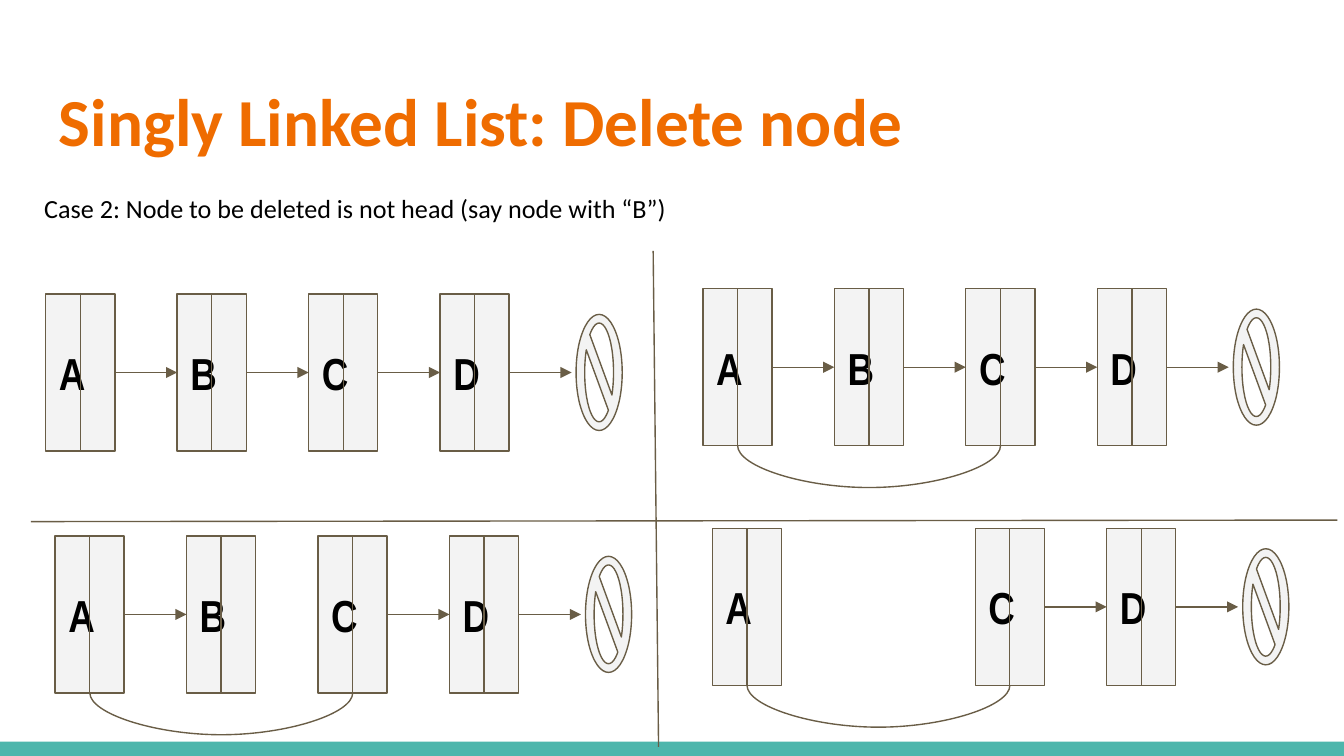
from dataclasses import dataclass

from lxml.etree import SubElement
from pptx import Presentation
from pptx.dml.color import RGBColor
from pptx.enum.shapes import MSO_CONNECTOR, MSO_SHAPE
from pptx.enum.text import MSO_ANCHOR, PP_ALIGN
from pptx.oxml.ns import qn
from pptx.util import Inches, Pt

SLIDE_WIDTH = Inches(10)
SLIDE_HEIGHT = SLIDE_WIDTH * 9 // 16
COLUMN = SLIDE_WIDTH / 100
ROW = SLIDE_HEIGHT / 100

ORANGE = "EF6C00"
TEAL = "4DB6AC"
BROWN = "695D46"
PALE_GRAY = "F3F3F3"
BLACK = "000000"

LETTERS = "ABCD"
NODE_PITCH = 0.228
NODE_WIDTH = 0.12
BYPASS_THICKNESS = 600
BYPASS_BEND = 39691700


@dataclass
class Box:
    left: float
    top: float
    width: float
    height: float

    def inner_box(self, left, top, width, height):
        return Box(self.left + left * self.width, self.top + top * self.height,
                   width * self.width, height * self.height)

    def bounds(self):
        return [round(value) for value in (self.left, self.top, self.width, self.height)]


def grid_box(left, top, width, height):
    return Box(left * COLUMN, top * ROW, width * COLUMN, height * ROW)


def color(hex_value):
    return RGBColor.from_string(hex_value)


def write_text(shape, text, font_name, size, hex_value, bold=False):
    frame = shape.text_frame
    frame.word_wrap = True
    frame.margin_left = frame.margin_right = Inches(0.1)
    frame.margin_top = frame.margin_bottom = Inches(0.1)
    paragraph = frame.paragraphs[0]
    paragraph.text = text
    paragraph.alignment = PP_ALIGN.LEFT
    paragraph.font.name = font_name
    paragraph.font.size = Pt(size)
    paragraph.font.bold = bold
    paragraph.font.color.rgb = color(hex_value)


def add_label(slide, box, *style):
    write_text(slide.shapes.add_textbox(*box.bounds()), *style)


def add_filled_shape(slide, kind, box, fill, outline=None):
    shape = slide.shapes.add_shape(kind, *box.bounds())
    shape.shadow.inherit = False
    shape.fill.solid()
    shape.fill.fore_color.rgb = color(fill)
    if outline:
        shape.line.color.rgb = color(outline)
        shape.line.width = Pt(0.75)
    else:
        shape.line.fill.background()
    return shape


def add_line(slide, start, end, kind=MSO_CONNECTOR.STRAIGHT, arrow=False):
    points = [round(value) for value in (*start, *end)]
    connector = slide.shapes.add_connector(kind, *points)
    connector.line.color.rgb = color(BROWN)
    connector.line.width = Pt(0.75)
    properties = connector._element.spPr
    if arrow:
        SubElement(properties.find(qn("a:ln")), qn("a:tailEnd"), type="triangle")
    SubElement(properties, qn("a:effectLst"))
    return connector


def add_bypass(slide, start_x, end_x, y):
    middle = (start_x + end_x) / 2
    half_span = (end_x - start_x) / 2
    connector = add_line(slide, (middle + BYPASS_THICKNESS, y - half_span),
                         (middle, y + half_span), MSO_CONNECTOR.CURVE)
    properties = connector._element.spPr
    properties.find(qn("a:xfrm")).set("rot", str(270 * 60000))
    adjustments = properties.find(qn("a:prstGeom")).find(qn("a:avLst"))
    SubElement(adjustments, qn("a:gd"), name="adj1", fmla=f"val {BYPASS_BEND}")


def add_node(slide, box, letter):
    node = add_filled_shape(slide, MSO_SHAPE.RECTANGLE, box, PALE_GRAY, BROWN)
    write_text(node, letter, "Arial Narrow", 24, BLACK, True)
    node.text_frame.vertical_anchor = MSO_ANCHOR.MIDDLE
    middle = box.left + box.width / 2
    add_line(slide, (middle, box.top), (middle, box.top + box.height))


def add_linked_list(slide, box, nodes, linked, bypass):
    cells = {letter: box.inner_box(index * NODE_PITCH, 0, NODE_WIDTH, 1)
             for index, letter in enumerate(LETTERS)}
    for letter in nodes:
        add_node(slide, cells[letter], letter)
    middle = box.top + box.height / 2
    for letter in linked:
        cell = cells[letter]
        add_line(slide, (cell.left + cell.width, middle),
                 (cell.left + NODE_PITCH * box.width, middle), arrow=True)
    add_filled_shape(slide, MSO_SHAPE.NO_SYMBOL, box.inner_box(0.92, 0.13, 0.08, 0.74),
                     PALE_GRAY, BROWN)
    if bypass:
        start_x, end_x = (cells[letter].left + cells[letter].width / 2 for letter in "AC")
        add_bypass(slide, start_x, end_x, box.top + box.height)


def add_dividers(slide, box):
    right, bottom = box.left + box.width, box.top + box.height
    add_line(slide, (48.6 * COLUMN, box.top), (49 * COLUMN, bottom))
    add_line(slide, (box.left, 69 * ROW), (right, 68.8 * ROW))


def main():
    presentation = Presentation()
    presentation.slide_width = SLIDE_WIDTH
    presentation.slide_height = SLIDE_HEIGHT
    slide = presentation.slides.add_slide(presentation.slide_layouts[6])

    add_filled_shape(slide, MSO_SHAPE.RECTANGLE, grid_box(0, 98.1, 100, 1.9), TEAL)
    add_label(slide, grid_box(3.4, 8.7, 93.2, 13.7),
              "Singly Linked List: Delete node", "Calibri", 36, ORANGE, True)
    add_label(slide, grid_box(2.3, 23.65, 55.1, 10.1),
              "Case 2: Node to be deleted is not head (say node with “B”)",
              "Calibri", 14, BLACK)

    steps = [
        (3.4, 38.9, "ABCD", "ABCD", False),
        (52.3, 38.2, "ABCD", "ABCD", True),
        (4.1, 70.9, "ABCD", "ACD", True),
        (53, 69.9, "ACD", "CD", True),
    ]
    for left, top, nodes, linked, bypass in steps:
        add_linked_list(slide, grid_box(left, top, 42.9, 20.75), nodes, linked, bypass)
    add_dividers(slide, grid_box(2.3, 33.2, 97.2, 65.6))

    presentation.save("out.pptx")


if __name__ == "__main__":
    main()
